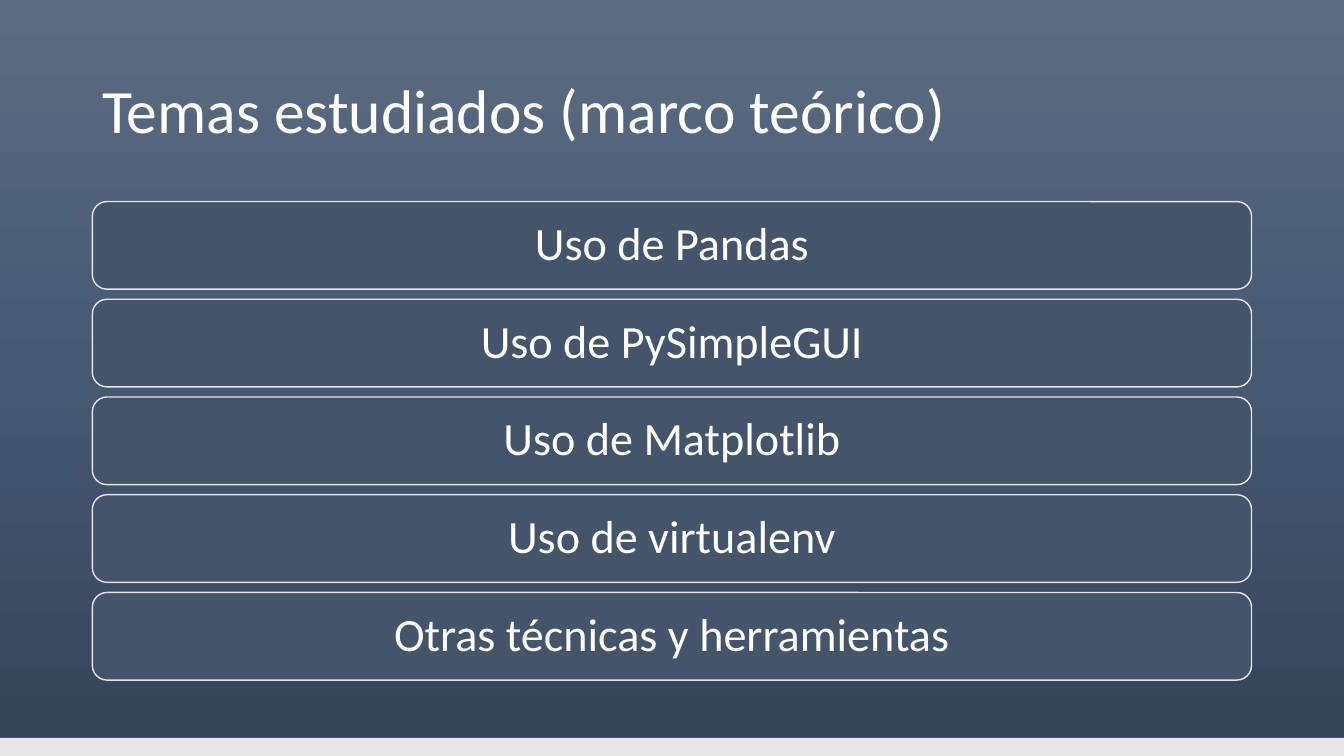
from copy import deepcopy

from pptx import Presentation
from pptx.dml.color import RGBColor
from pptx.enum.shapes import MSO_SHAPE
from pptx.enum.text import MSO_ANCHOR, PP_ALIGN
from pptx.oxml.ns import qn
from pptx.util import Pt

ROUNDED, RECT = MSO_SHAPE.ROUNDED_RECTANGLE, MSO_SHAPE.RECTANGLE
MIDDLE = MSO_ANCHOR.MIDDLE
LEFT, CENTER = PP_ALIGN.LEFT, PP_ALIGN.CENTER

WIDTH, HEIGHT = 960, 540
COLORS = {
    "sky": "5B6B82",
    "mid": "465872",
    "deep": "334358",
    "topic": "44546A",
    "light": "E7E6E6",
    "text": "FFFFFF",
}
TOPICS = [
    "Uso de Pandas",
    "Uso de PySimpleGUI",
    "Uso de Matplotlib",
    "Uso de virtualenv",
    "Otras técnicas y herramientas",
]
MARGIN, CONTENT_WIDTH = 66, 828
TOPIC_TOP, TOPIC_HEIGHT, TOPIC_STEP = 144, 62.6, 69.8


def rgb(name):
    return RGBColor.from_string(COLORS[name])


class Deck:
    font = "Calibri"

    def __init__(self, prs):
        self.s = prs.slides.add_slide(prs.slide_layouts[6])

    def background(self, *names):
        """Fill the slide from top to bottom with evenly spaced colours."""
        fill = self.s.background.fill
        fill.gradient()
        fill.gradient_angle = 270
        stops = self.s.element.find(".//" + qn("a:gsLst"))
        while len(stops) < len(names):
            stops.append(deepcopy(stops[0]))
        for i, (stop, name) in enumerate(zip(fill.gradient_stops, names)):
            stop.position = i / (len(names) - 1)
            stop.color.rgb = rgb(name)

    def add_text(self, sp, text, size, align, inset_x, inset_y):
        tf = sp.text_frame
        tf.word_wrap = True
        tf.vertical_anchor = MIDDLE
        tf.margin_left = tf.margin_right = Pt(inset_x)
        tf.margin_top = tf.margin_bottom = Pt(inset_y)
        p = tf.paragraphs[0]
        p.alignment = align
        p.line_spacing = 0.9
        r = p.add_run()
        r.text = text
        r.font.name = self.font
        r.font.size = Pt(size)
        r.font.color.rgb = rgb("text")

    def title(self, text, x, y, w, h):
        sp = self.s.shapes.add_textbox(Pt(x), Pt(y), Pt(w), Pt(h))
        self.add_text(sp, text, 44, LEFT, 7.2, 3.6)

    def box(self, kind, x, y, w, h, fill, line=None):
        sp = self.s.shapes.add_shape(kind, Pt(x), Pt(y), Pt(w), Pt(h))
        sp.shadow.inherit = False
        sp.fill.solid()
        sp.fill.fore_color.rgb = rgb(fill)
        if line:
            sp.line.color.rgb = rgb(line)
            sp.line.width = Pt(1)
        else:
            sp.line.fill.background()
        return sp

    def topic(self, text, y):
        sp = self.box(ROUNDED, MARGIN, y, CONTENT_WIDTH, TOPIC_HEIGHT, "topic", "light")
        sp.adjustments[0] = 0.167
        self.add_text(sp, text, 33, CENTER, 10, 10)


def main():
    prs = Presentation()
    prs.slide_width, prs.slide_height = Pt(WIDTH), Pt(HEIGHT)
    deck = Deck(prs)
    deck.background("sky", "mid", "deep")
    deck.title("Temas estudiados (marco teórico)", MARGIN, 28.8, CONTENT_WIDTH, 104.4)
    for i, topic in enumerate(TOPICS):
        deck.topic(topic, TOPIC_TOP + i * TOPIC_STEP)
    footer_height = 13
    deck.box(RECT, 0, HEIGHT - footer_height, WIDTH, footer_height, "light")
    prs.save("out.pptx")


if __name__ == "__main__":
    main()
